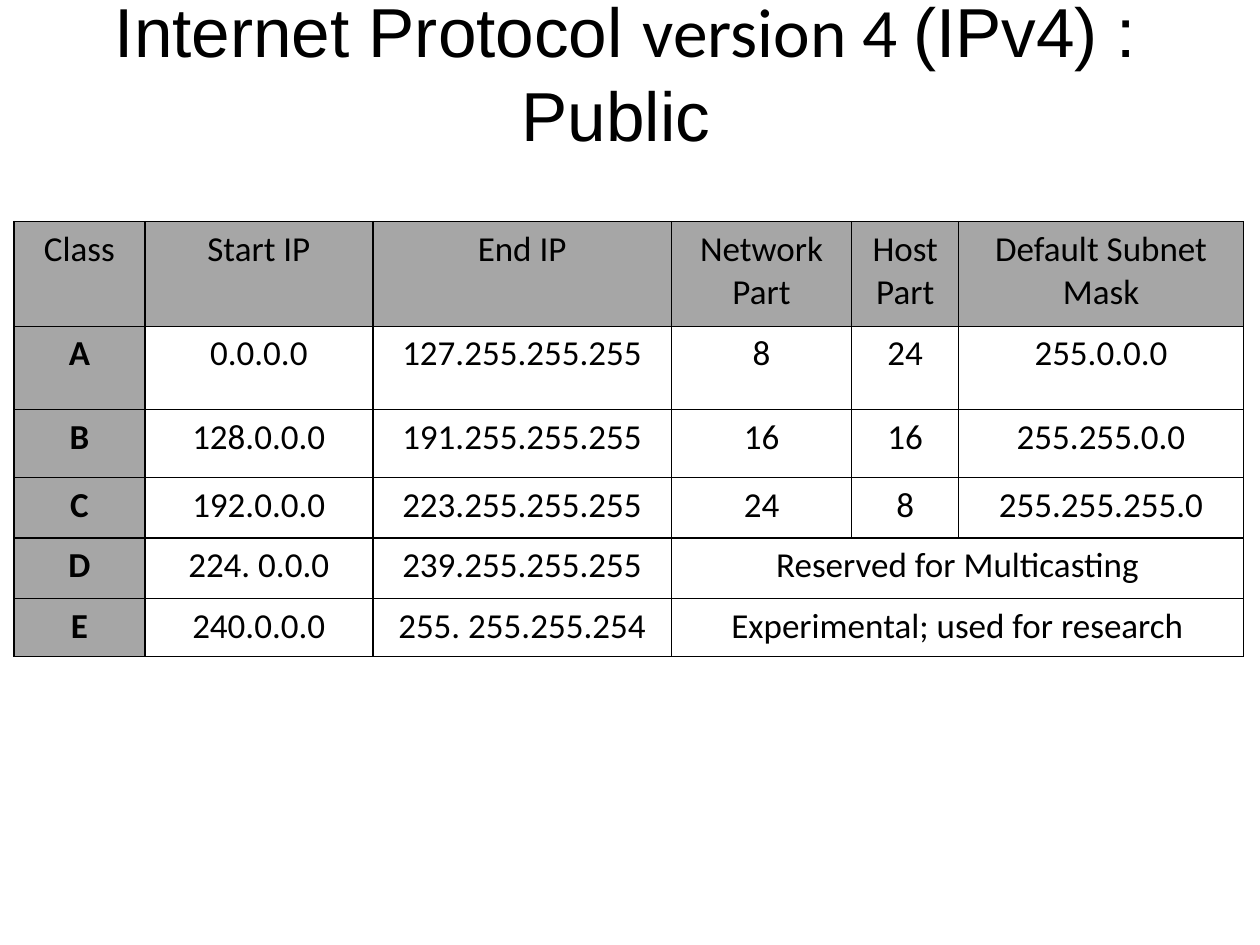
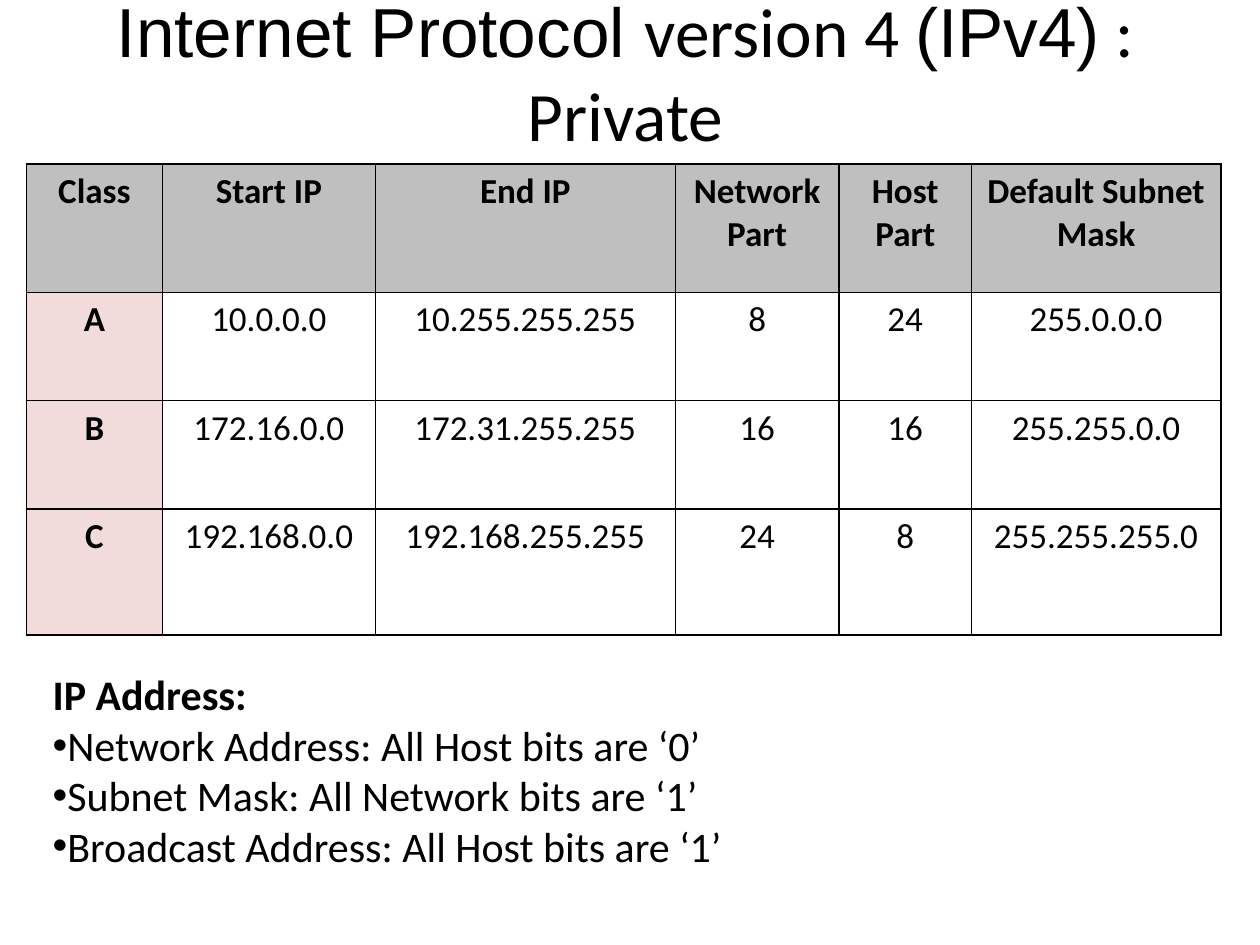
from dataclasses import dataclass

from lxml.etree import SubElement
from pptx import Presentation
from pptx.dml.color import RGBColor
from pptx.enum.text import MSO_ANCHOR, MSO_AUTO_SIZE, PP_ALIGN
from pptx.oxml import parse_xml
from pptx.oxml.ns import nsdecls, qn
from pptx.slide import Slide
from pptx.table import _Cell
from pptx.text.text import Font
from pptx.util import Emu, Pt

SCALE = 9144  # EMU per px, 100 px to the inch


@dataclass(frozen=True)
class Theme:
    ink: str = "000000"
    gray: str = "A6A6A6"
    silver: str = "BFBFBF"
    pink: str = "F2DCDB"
    sans: str = "Arial"
    body: str = "Calibri"
    title: float = 39.6
    cell: int = 20
    note: int = 24
    rule: int = 1


@dataclass(frozen=True)
class Box:
    left: int
    top: int
    width: int
    height: int

    def emu(self) -> tuple[Emu, ...]:
        return tuple(px(n) for n in (self.left, self.top, self.width, self.height))


@dataclass(frozen=True)
class Part:
    text: str
    face: str


@dataclass(frozen=True)
class Grid:
    left: int
    top: int
    cols: list[int]
    rows: list[int]
    data: list[list[str]]
    head: str  # fill of the header row
    side: str  # fill of the class column
    strong: bool  # bold header row


THEME = Theme()
TITLE = Box(17, 11, 959, 92)
NOTES = Box(32, 526, 897, 202)
HEADS = ["Class", "Start IP", "End IP", "Network Part", "Host Part",
         "Default Subnet Mask"]
LEAD = [Part("Internet Protocol ", THEME.sans), Part("version 4 ", THEME.body)]

PUBLIC = Grid(
    11, 176, [104, 181, 237, 143, 85, 226], [83, 66, 54, 48, 48, 46],
    [HEADS,
     ["A", "0.0.0.0", "127.255.255.255", "8", "24", "255.0.0.0"],
     ["B", "128.0.0.0", "191.255.255.255", "16", "16", "255.255.0.0"],
     ["C", "192.0.0.0", "223.255.255.255", "24", "8", "255.255.255.0"],
     ["D", "224. 0.0.0", "239.255.255.255", "Reserved for Multicasting"],
     ["E", "240.0.0.0", "255. 255.255.254", "Experimental; used for research"]],
    THEME.gray, THEME.gray, False)

PRIVATE = Grid(
    21, 130, [108, 169, 238, 130, 105, 198], [102, 86, 86, 100],
    [HEADS,
     ["A", "10.0.0.0", "10.255.255.255", "8", "24", "255.0.0.0"],
     ["B", "172.16.0.0", "172.31.255.255", "16", "16", "255.255.0.0"],
     ["C", "192.168.0.0", "192.168.255.255", "24", "8", "255.255.255.0"]],
    THEME.silver, THEME.pink, True)

FACTS = ["Network Address: All Host bits are ‘0’",
         "Subnet Mask: All Network bits are ‘1’",
         "Broadcast Address: All Host bits are ‘1’"]


def px(count: int) -> Emu:
    return Emu(count * SCALE)


def style(font: Font, size: float, face: str = THEME.body,
          bold: bool = False) -> None:
    font.size = Pt(size)
    font.name = face
    font.bold = bold
    font.color.rgb = RGBColor.from_string(THEME.ink)


def start(deck: Presentation, tail: list[Part]) -> Slide:
    """Add a slide whose title is the shared lead and its own tail."""
    slide = deck.slides.add_slide(deck.slide_layouts[5])
    title = slide.shapes.title
    title.left, title.top, title.width, title.height = TITLE.emu()
    frame = title.text_frame
    frame.word_wrap = True
    frame.auto_size = MSO_AUTO_SIZE.NONE
    frame.vertical_anchor = MSO_ANCHOR.MIDDLE
    para = frame.paragraphs[0]
    para.alignment = PP_ALIGN.CENTER
    for part in LEAD + tail:
        run = para.add_run()
        run.text = part.text
        style(run.font, THEME.title, part.face)
    return slide


def frame_cell(cell: _Cell) -> None:
    """Rule all four sides; borders stand before the fill in the XML."""
    props = cell._tc.get_or_add_tcPr()
    for spot, side in enumerate("LRTB"):
        props.insert(spot, parse_xml(
            f'<a:ln{side} {nsdecls("a")} w="{Pt(THEME.rule)}"><a:solidFill>'
            f'<a:srgbClr val="{THEME.ink}"/></a:solidFill></a:ln{side}>'))


def fill_cell(cell: _Cell, tint: str | None) -> None:
    if tint:
        cell.fill.solid()
        cell.fill.fore_color.rgb = RGBColor.from_string(tint)
    else:
        cell.fill.background()
    frame_cell(cell)


def draw_grid(slide: Slide, grid: Grid) -> None:
    box = Box(grid.left, grid.top, sum(grid.cols), sum(grid.rows))
    table = slide.shapes.add_table(
        len(grid.rows), len(grid.cols), *box.emu()).table
    table.first_row = table.horz_banding = False
    for col, width in zip(table.columns, grid.cols):
        col.width = px(width)
    last = len(grid.cols) - 1
    for r, (height, words) in enumerate(zip(grid.rows, grid.data)):
        table.rows[r].height = px(height)
        for c in range(last + 1):
            tint = grid.head if r == 0 else grid.side if c == 0 else None
            fill_cell(table.cell(r, c), tint)
        # A short row spreads its last entry to the right edge
        if len(words) <= last:
            table.cell(r, len(words) - 1).merge(table.cell(r, last))
        for c, word in enumerate(words):
            para = table.cell(r, c).text_frame.paragraphs[0]
            para.text = word
            para.alignment = PP_ALIGN.CENTER
            bold = grid.strong if r == 0 else c == 0
            style(para.runs[0].font, THEME.cell, bold=bold)


def draw_notes(slide: Slide, head: str, facts: list[str]) -> None:
    frame = slide.shapes.add_textbox(*NOTES.emu()).text_frame
    frame.word_wrap = True
    frame.text = "\n".join([head, *facts])
    for spot, para in enumerate(frame.paragraphs):
        if spot:
            props = para._p.get_or_add_pPr()
            SubElement(props, qn("a:buFont"), typeface=THEME.sans)
            SubElement(props, qn("a:buChar"), char="•")
        style(para.runs[0].font, THEME.note, bold=spot == 0)


def main() -> None:
    deck = Presentation()
    deck.slide_width, deck.slide_height = px(1000), px(750)

    # Public address classes
    slide = start(deck, [Part("(IPv4) : Public ", THEME.sans)])
    draw_grid(slide, PUBLIC)

    # Private address classes
    slide = start(deck, [Part("(IPv4)", THEME.sans),
                         Part(" : Private", THEME.body)])
    draw_grid(slide, PRIVATE)
    draw_notes(slide, "IP Address:", FACTS)

    deck.save("out.pptx")


if __name__ == "__main__":
    main()
